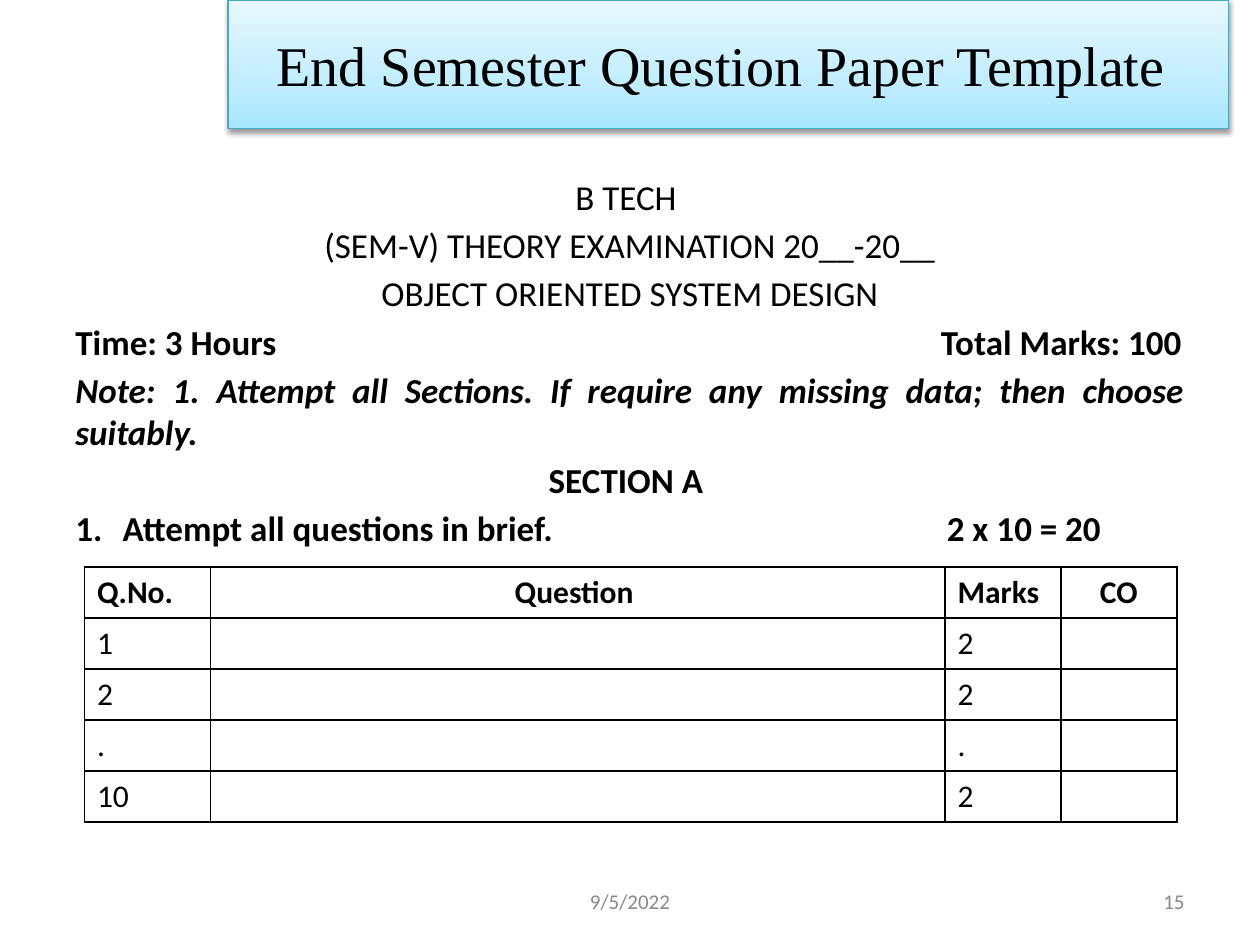
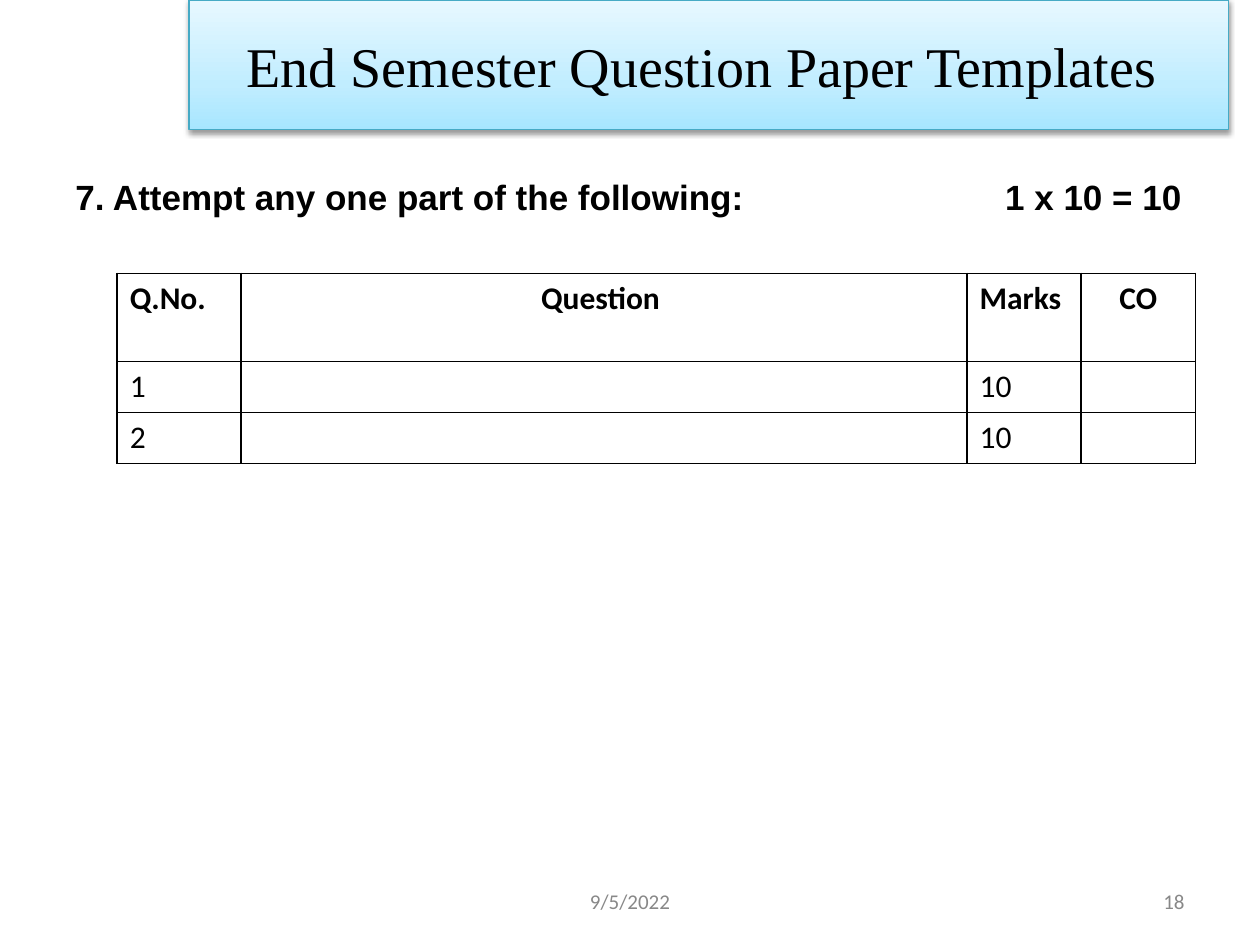
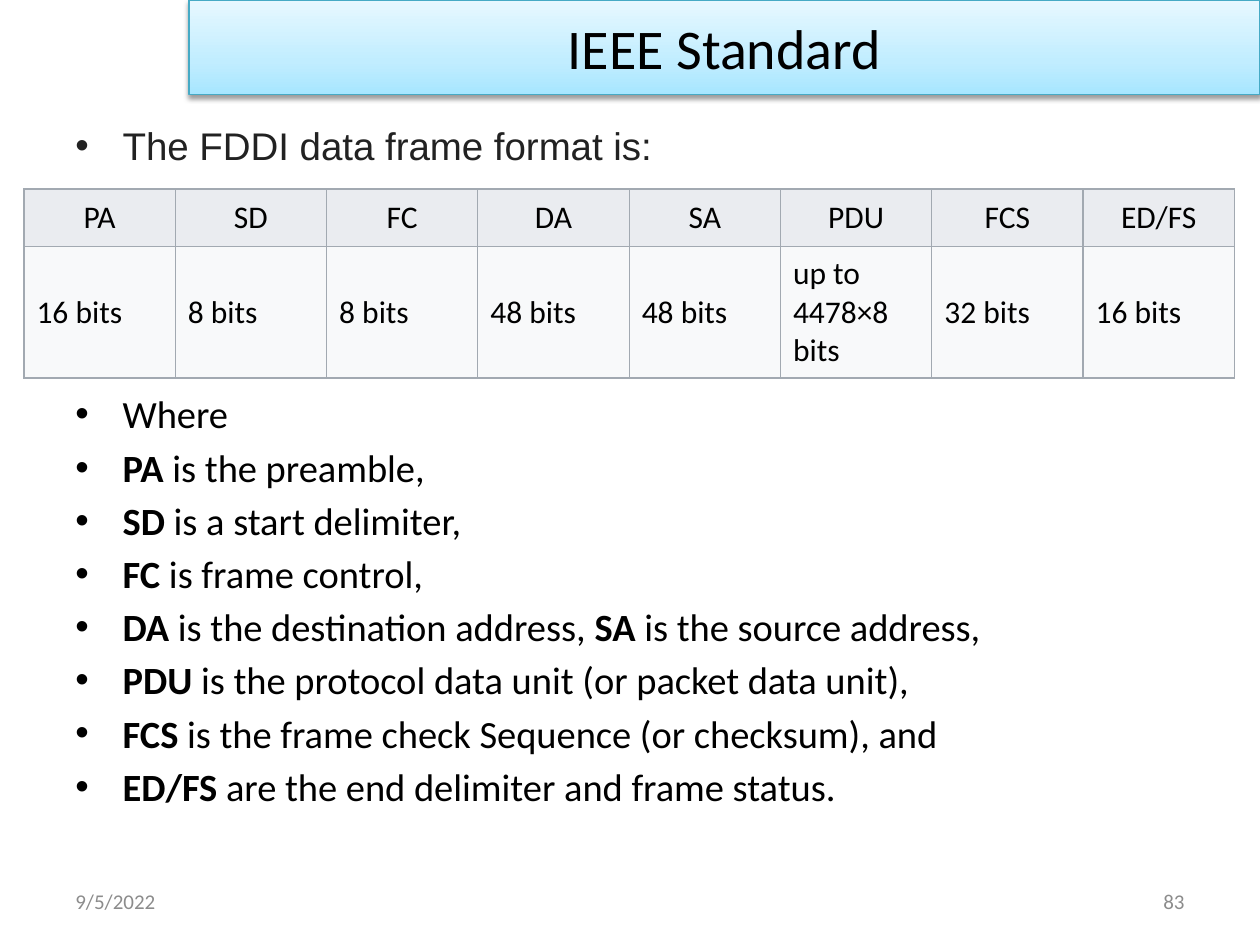
import dataclasses

import lxml.etree
import pptx
import pptx.dml.color
import pptx.enum.shapes
import pptx.enum.text
import pptx.oxml.ns
import pptx.util

ALIGN = pptx.enum.text.PP_ALIGN
ANCHOR = pptx.enum.text.MSO_ANCHOR
SLIDE_WIDTH = pptx.util.Inches(10)
SLIDE_HEIGHT = pptx.util.Inches(7.5)


@dataclasses.dataclass(frozen=True)
class Theme:
    """Colours, fonts and type sizes shared by the slides."""

    text: str = "000000"
    dark_grey: str = "222222"
    footer: str = "888888"
    footer_light: str = "8C8C8C"
    band_line: str = "46AAC5"
    band_stops: tuple = ((0, "A7E6FF"), (35, "C1EDFF"), (100, "E7F8FF"))
    paper: str = "FFFFFF"
    frame_line: str = "A2A9B1"
    frame_head: str = "EAECF0"
    frame_body: str = "F8F9FA"
    body_font: str = "Calibri"
    sans_font: str = "Arial"
    serif_font: str = "Times New Roman"
    title_size: int = 32
    list_size: int = 22
    exam_size: int = 20
    table_size: int = 18
    footer_size: int = 12


THEME = Theme()


@dataclasses.dataclass(frozen=True)
class Style:
    """The look of a run of text."""

    size: int
    font: str = THEME.body_font
    color: str = THEME.text
    bold: bool = False
    italic: bool = False


@dataclasses.dataclass(frozen=True)
class Line:
    """A paragraph made of (text, style) runs."""

    runs: tuple
    align: int = ALIGN.LEFT
    before: float = 0
    marker: str = ""
    right_tab: float = 0


def across(share):
    """Return a percentage of the slide width."""
    return pptx.util.Emu(round(SLIDE_WIDTH * share / 100))


def down(share):
    """Return a percentage of the slide height."""
    return pptx.util.Emu(round(SLIDE_HEIGHT * share / 100))


def place(left, top, width, height):
    """Turn percentages of the slide into a position and a size."""
    return across(left), down(top), across(width), down(height)


def rgb(color):
    """Return a colour object for a hex string."""
    return pptx.dml.color.RGBColor.from_string(color)


def add_element(parent, tag, **attributes):
    """Append a DrawingML element to a parent."""
    element = lxml.etree.SubElement(parent, pptx.oxml.ns.qn(f"a:{tag}"))
    for name, value in attributes.items():
        element.set(name, str(value))
    return element


def add_marker(properties, marker):
    """Give a paragraph a hanging bullet or number."""
    properties.set("marL", str(across(3.75)))
    properties.set("indent", str(-across(3.75)))
    if marker == "1.":
        add_element(properties, "buFont", typeface="+mj-lt")
        add_element(properties, "buAutoNum", type="arabicPeriod")
    else:
        add_element(properties, "buFont", typeface=THEME.sans_font)
        add_element(properties, "buChar", char=marker)


def write_line(paragraph, line):
    """Fill a paragraph run by run."""
    properties = paragraph._p.get_or_add_pPr()
    if line.marker:
        add_marker(properties, line.marker)
    if line.right_tab:
        tabs = add_element(properties, "tabLst")
        add_element(tabs, "tab", pos=across(line.right_tab), algn="r")
    paragraph.alignment = line.align
    paragraph.space_before = pptx.util.Pt(line.before)
    for text, style in line.runs:
        run = paragraph.add_run()
        run.text = text
        run.font.name = style.font
        run.font.size = pptx.util.Pt(style.size)
        run.font.bold = style.bold
        run.font.italic = style.italic
        run.font.color.rgb = rgb(style.color)


def write_lines(frame, lines, anchor=ANCHOR.TOP):
    """Fill a text frame with paragraphs."""
    frame.word_wrap = True
    frame.vertical_anchor = anchor
    for index, line in enumerate(lines):
        paragraph = frame.add_paragraph() if index else frame.paragraphs[0]
        write_line(paragraph, line)


def add_text(slide, area, lines, anchor=ANCHOR.TOP):
    """Add a wrapping text box."""
    shape = slide.shapes.add_textbox(*place(*area))
    write_lines(shape.text_frame, lines, anchor)


def add_band(slide, left, width, height, title, font):
    """Add the gradient title band along the top edge."""
    shape = slide.shapes.add_shape(
        pptx.enum.shapes.MSO_SHAPE.RECTANGLE, *place(left, 0, width, height))
    shape.fill.gradient()
    shape.fill.gradient_angle = 90
    properties = shape._element.spPr
    stops = properties.find(".//" + pptx.oxml.ns.qn("a:gsLst"))
    stops[:] = []
    for position, color in THEME.band_stops:
        stop = add_element(stops, "gs", pos=position * 1000)
        add_element(stop, "srgbClr", val=color)
    shape.line.color.rgb = rgb(THEME.band_line)
    shape.line.width = pptx.util.Pt(0.75)
    shape.shadow.inherit = False
    effects = properties.find(pptx.oxml.ns.qn("a:effectLst"))
    shadow = add_element(effects, "outerShdw", blurRad=pptx.util.Pt(3.1),
                         dist=pptx.util.Pt(1.6), dir=5400000, rotWithShape=0)
    shade = add_element(shadow, "srgbClr", val=THEME.text)
    add_element(shade, "alpha", val=38000)
    style = Style(THEME.title_size, font)
    write_lines(shape.text_frame, [Line(((title, style),), ALIGN.CENTER)], ANCHOR.MIDDLE)


def add_footer(slide, number, centred_date=True, color=THEME.footer):
    """Add the date and the slide number."""
    style = Style(THEME.footer_size, color=color)
    left, width, align = (34.17, 31.67, ALIGN.CENTER) if centred_date else (5, 23.33, ALIGN.LEFT)
    for x, size, text, side in ((left, width, "9/5/2022", align),
                                (71.67, 23.33, number, ALIGN.RIGHT)):
        add_text(slide, (x, 92.67, size, 5.33), [Line(((text, style),), side)], ANCHOR.MIDDLE)


def add_borders(cell, color, width):
    """Draw the four edges of a table cell."""
    properties = cell._tc.get_or_add_tcPr()
    for side in ("lnL", "lnR", "lnT", "lnB"):
        edge = add_element(properties, side, w=pptx.util.Pt(width))
        fill = add_element(edge, "solidFill")
        add_element(fill, "srgbClr", val=color)


def add_grid(slide, left, top, columns, rows, contents, line, fills, bold_head, centred, anchor):
    """Add a bordered table; centred holds the header columns to centre."""
    shape = slide.shapes.add_table(
        len(rows), len(columns), *place(left, top, sum(columns), sum(rows)))
    table = shape.table
    table.first_row = table.horz_banding = False
    for column, width in zip(table.columns, columns):
        column.width = across(width)
    for y, (row, height) in enumerate(zip(table.rows, rows)):
        row.height = down(height)
        head = y == 0
        style = Style(THEME.table_size, bold=bold_head and head)
        for x, cell in enumerate(row.cells):
            add_borders(cell, *line)
            cell.fill.solid()
            cell.fill.fore_color.rgb = rgb(fills[0] if head else fills[1])
            cell.vertical_anchor = anchor
            align = ALIGN.CENTER if head and x in centred else ALIGN.LEFT
            text = contents[y][x]
            if text:
                write_line(cell.text_frame.paragraphs[0], Line(((text, style),), align))
            else:
                cell.text_frame.paragraphs[0].font.size = pptx.util.Pt(THEME.table_size)


def add_question_grid(slide, left, top, columns, rows, marks):
    """Add a question table from (number, marks) pairs."""
    contents = [("Q.No.", "Question ", "Marks", "CO")]
    contents += [(number, "", mark, "") for number, mark in marks]
    add_grid(slide, left, top, columns, rows, contents, (THEME.text, 1),
             (THEME.paper, THEME.paper), True, (1, 3), ANCHOR.TOP)


def build_paper(slide):
    """Build the opening page of the question paper."""
    plain = Style(THEME.exam_size)
    bold = Style(THEME.exam_size, bold=True)
    note = Style(THEME.exam_size, bold=True, italic=True)
    gap = 3.6
    add_band(slide, 18.1, 79.4, 13.6, "End Semester Question Paper Template ", THEME.serif_font)
    add_text(slide, (5, 17.87, 90, 69.33), [
        Line((("B TECH ", plain),), ALIGN.CENTER),
        Line((("(SEM-V) THEORY EXAMINATION 20__-20__", plain),), ALIGN.CENTER, gap),
        Line((("OBJECT ORIENTED SYSTEM DESIGN", plain),), ALIGN.CENTER, gap),
        Line((("Time: 3 Hours\tTotal Marks: 100", bold),), before=gap, right_tab=87.8),
        Line((("Note: 1. Attempt all Sections. If require any missing data; "
               "then choose suitably.", note),), ALIGN.JUSTIFY, gap),
        Line((("SECTION A ", bold),), ALIGN.CENTER, gap),
        Line((("Attempt all questions in brief.\t2 x 10 = 20", bold),),
             before=gap, marker="1.", right_tab=81.4),
    ])
    add_question_grid(slide, 6.7, 60, (10, 58.3, 9.2, 9.2), [5.4] * 5,
                      (("1", "2"), ("2", "2"), (".", "."), ("10", "2")))
    add_footer(slide, "15")


def build_last_question(slide):
    """Build the page of the seventh question."""
    bold = Style(THEME.exam_size, THEME.sans_font, bold=True)
    add_band(slide, 15, 82.5, 13.73, "End Semester Question Paper Templates ", THEME.serif_font)
    add_text(slide, (5, 17.87, 90, 69.33), [
        Line((("7. Attempt any one part of the following:\t1 x 10 = 10", bold),), right_tab=87.8)])
    add_question_grid(slide, 9.3, 28.93, (9.85, 57.6, 9.07, 9.07), (9.33, 5.4, 5.4),
                      (("1", "10"), ("2", "10")))
    add_footer(slide, "18")


def build_frame_format(slide):
    """Build the page on the FDDI data frame."""
    plain = Style(THEME.list_size)
    bold = Style(THEME.list_size, bold=True)
    intro = Style(THEME.list_size, THEME.sans_font, THEME.dark_grey)
    meanings = (
        (("PA", " is the preamble,"),),
        (("SD", " is a start delimiter,"),),
        (("FC", " is frame control,"),),
        (("DA", " is the destination address, "), ("SA", " is the source address,")),
        (("PDU", " is the protocol data unit (or packet data unit),"),),
        (("FCS", " is the frame check Sequence (or checksum), and"),),
        (("ED/FS", " are the end delimiter and frame status."),),
    )
    lines = [Line((("The FDDI data frame format is:", intro),), marker="•"),
             Line((("Where", plain),), before=127, marker="•")]
    for meaning in meanings:
        runs = [run for term, text in meaning for run in ((term, bold), (text, plain))]
        lines.append(Line(tuple(runs), before=4, marker="•"))
    add_text(slide, (5, 12.27, 90, 78.93), lines)
    add_footer(slide, "83", False, THEME.footer_light)
    add_band(slide, 15, 85, 10, "IEEE Standard", THEME.body_font)
    fields = ("PA", "SD", "FC", "DA", "SA", "PDU", "FCS", "ED/FS")
    sizes = ("16 bits", "8 bits", "8 bits", "48 bits", "48 bits",
             "up to 4478×8 bits", "32 bits", "16 bits")
    add_grid(slide, 1.9, 20, [12.01] * len(fields), (6.13, 13.87), (fields, sizes),
             (THEME.frame_line, 0.75), (THEME.frame_head, THEME.frame_body),
             False, range(len(fields)), ANCHOR.MIDDLE)


def main():
    """Build and save the presentation."""
    presentation = pptx.Presentation()
    presentation.slide_width = SLIDE_WIDTH
    presentation.slide_height = SLIDE_HEIGHT
    blank = presentation.slide_layouts[6]
    for build in (build_paper, build_last_question, build_frame_format):
        build(presentation.slides.add_slide(blank))
    presentation.save("out.pptx")


if __name__ == "__main__":
    main()
